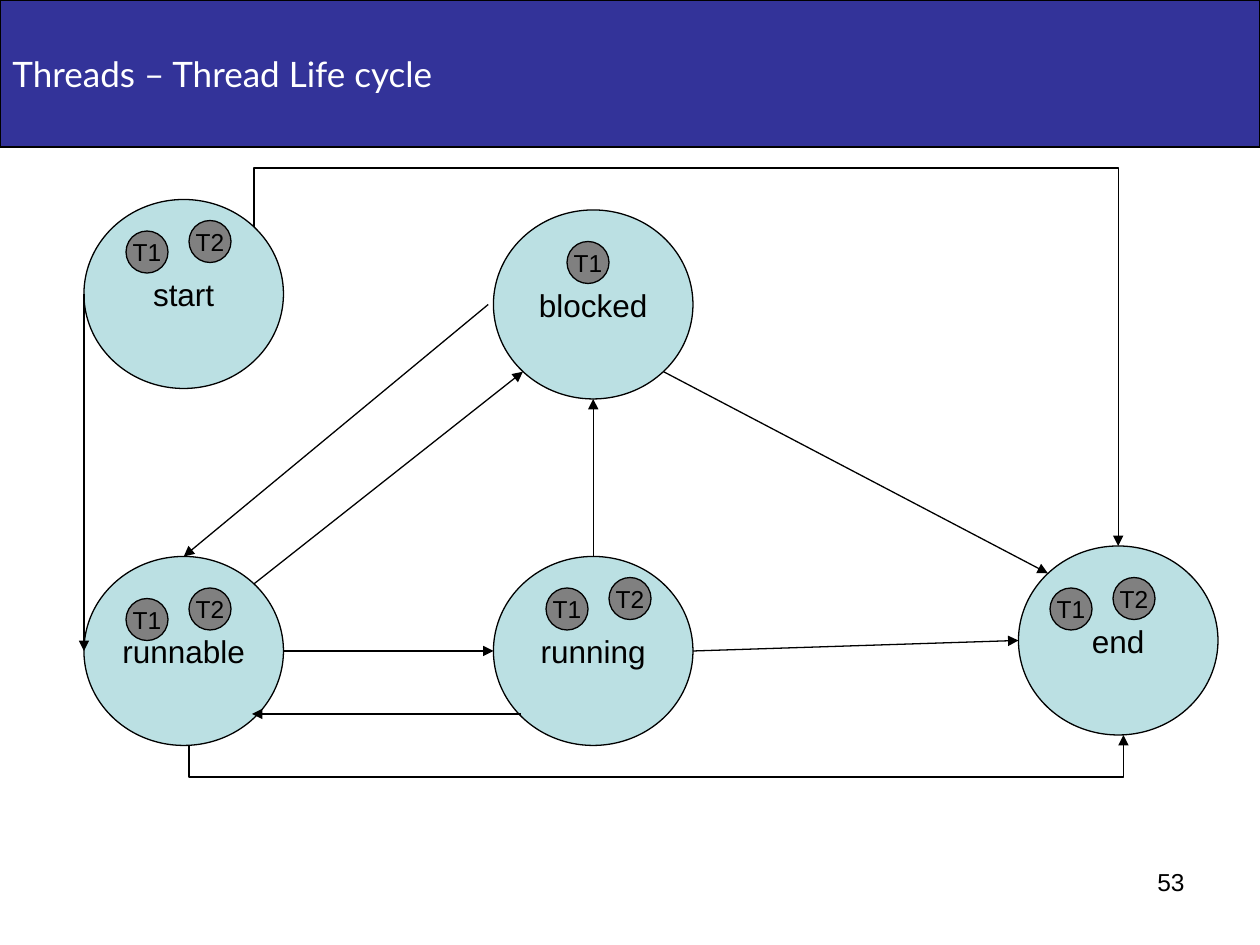
from lxml import etree
from pptx import Presentation
from pptx.dml.color import RGBColor
from pptx.enum.shapes import MSO_CONNECTOR, MSO_SHAPE
from pptx.enum.text import MSO_ANCHOR, PP_ALIGN
from pptx.oxml.ns import qn
from pptx.util import Cm, Pt

RECTANGLE, OVAL = MSO_SHAPE.RECTANGLE, MSO_SHAPE.OVAL
STRAIGHT, ELBOW = MSO_CONNECTOR.STRAIGHT, MSO_CONNECTOR.ELBOW
LEFT, CENTER, RIGHT = PP_ALIGN.LEFT, PP_ALIGN.CENTER, PP_ALIGN.RIGHT
TOP, MIDDLE = MSO_ANCHOR.TOP, MSO_ANCHOR.MIDDLE

GRID_CM = 2.54 / 12
TITLE_EXTENT = (120, 14)
STATE_EXTENT = (19, 18)
THREAD_EXTENT = (4, 4)

STATES = [
    ("runnable", 8, 53),
    ("end", 97, 52),
    ("blocked", 47, 20),
    ("start", 8, 19),
    ("running", 47, 53),
]
TRANSITIONS = [
    ((8, 28), (8, 62)),
    ((27, 62), (47, 62)),
    ((49.6, 68), (24, 68)),
    ((66, 62), (97, 61)),
    ((56.5, 53), (56.5, 38)),
    ((24.2, 55.6), (49.8, 35.4)),
    ((46.5, 29), (17.5, 53)),
    ((63.2, 35.4), (99.8, 54.6)),
]
DETOURS = [
    ((18, 71), (107, 70), 74),
    ((24.2, 21.6), (106.5, 52), 16),
]
THREAD_PAIRS = [(12, 22), (12, 57), (52, 56), (100, 56)]
BLOCKED_THREAD = (54, 23)


def grid(units):
    return Cm(units * GRID_CM)


def color(value):
    return RGBColor.from_string(value)


def write_text(shape, text, size=18, font="Arial", fill="000000",
               align=CENTER, anchor=MIDDLE, wrap=False):
    frame = shape.text_frame
    frame.word_wrap = wrap
    frame.vertical_anchor = anchor
    paragraph = frame.paragraphs[0]
    paragraph.alignment = align
    run = paragraph.add_run()
    run.text = text
    run.font.size = Pt(size)
    run.font.name = font
    run.font.color.rgb = color(fill)


class Diagram:
    line_color = "000000"
    line_width = Pt(0.75)
    state_fill = "BBE0E3"
    thread_fill = "808080"
    title_fill = "333399"

    def __init__(self, slide):
        self.slide = slide

    def style_line(self, line):
        line.color.rgb = color(self.line_color)
        line.width = self.line_width

    def block(self, kind, position, extent, background, text, **text_format):
        box = map(grid, (*position, *extent))
        shape = self.slide.shapes.add_shape(kind, *box)
        shape.shadow.inherit = False
        shape.fill.solid()
        shape.fill.fore_color.rgb = color(background)
        self.style_line(shape.line)
        write_text(shape, text, **text_format)

    def title(self, text):
        self.block(RECTANGLE, (0, 0), TITLE_EXTENT, self.title_fill, text,
                   size=20, font="Lato", fill="FFFFFF", align=LEFT, wrap=True)

    def state(self, name, left, top):
        self.block(OVAL, (left, top), STATE_EXTENT, self.state_fill, name)

    def thread(self, name, left, top):
        self.block(OVAL, (left, top), THREAD_EXTENT, self.thread_fill, name,
                   size=14)

    def arrow(self, start, end, kind=STRAIGHT):
        ends = map(grid, (*start, *end))
        connector = self.slide.shapes.add_connector(kind, *ends)
        self.style_line(connector.line)
        properties = connector.element.spPr
        line = properties.find(qn("a:ln"))
        etree.SubElement(line, qn("a:tailEnd"), type="triangle")
        etree.SubElement(properties, qn("a:effectLst"))
        return connector

    def detour(self, start, end, rail):
        (x1, y1), (x2, y2) = start, end
        middle_x, middle_y = (x1 + x2) / 2, (y1 + y2) / 2
        half_x, half_y = (x2 - x1) / 2, (y2 - y1) / 2
        connector = self.arrow((middle_x - half_y, middle_y + half_x),
                               (middle_x + half_y, middle_y - half_x), ELBOW)
        properties = connector.element.spPr
        properties.find(qn("a:xfrm")).set("rot", str(90 * 60000))
        bend = round((rail - y1) / (y2 - y1) * 100000)
        adjustments = properties.find(qn("a:prstGeom")).find(qn("a:avLst"))
        etree.SubElement(adjustments, qn("a:gd"), name="adj1", fmla=f"val {bend}")

    def page_number(self, text):
        box = map(grid, (86, 82, 28, 6.25))
        shape = self.slide.shapes.add_textbox(*box)
        write_text(shape, text, size=14, align=RIGHT, anchor=TOP, wrap=True)


def main():
    presentation = Presentation()
    presentation.slide_width = Cm(25.4)
    presentation.slide_height = Cm(19.05)
    slide = presentation.slides.add_slide(presentation.slide_layouts[6])
    diagram = Diagram(slide)

    diagram.title("Threads – Thread Life cycle")
    for state in STATES:
        diagram.state(*state)
    for transition in TRANSITIONS:
        diagram.arrow(*transition)
    for detour in DETOURS:
        diagram.detour(*detour)
    for left, top in THREAD_PAIRS:
        diagram.thread("T1", left, top)
        diagram.thread("T2", left + 6, top - 1)
    diagram.thread("T1", *BLOCKED_THREAD)
    diagram.page_number("53")

    presentation.save("out.pptx")


if __name__ == "__main__":
    main()
